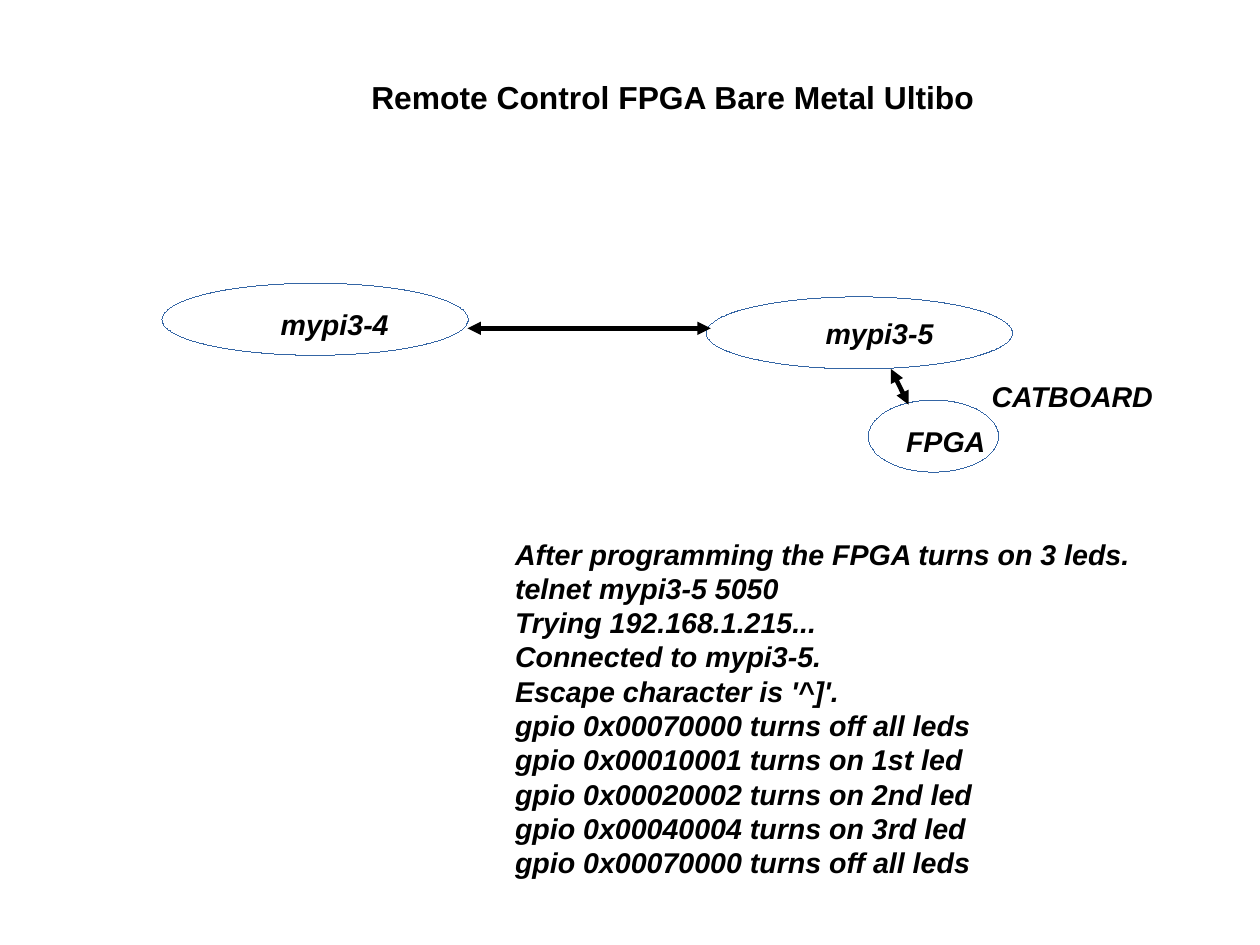
"""Builds the slide on remote control of an FPGA with bare metal Ultibo."""
from dataclasses import dataclass

from lxml import etree
from pptx import Presentation
from pptx.dml.color import RGBColor
from pptx.enum.shapes import MSO_CONNECTOR, MSO_SHAPE
from pptx.enum.text import MSO_AUTO_SIZE
from pptx.oxml.ns import qn
from pptx.slide import Slide
from pptx.util import Pt

ELLIPSE = MSO_SHAPE.OVAL
STRAIGHT = MSO_CONNECTOR.STRAIGHT
GROW_SHAPE = MSO_AUTO_SIZE.SHAPE_TO_FIT_TEXT

NODE_HEIGHT = 45.4
LABEL_HEIGHT = 27.4

NODES = [
    (102, 178.4, 193),
    (444.8, 187, 193),
    (547, 252, 82.1),
]
ARROWS = [
    (561.3, 232.4, 572.4, 254.9),
    (294.5, 206.8, 447.8, 206.8),
]
LABELS = [
    ("mypi3-5", 513, 195.4, 83.4),
    ("FPGA", 563.7, 263.3, 65.4),
    ("mypi3-4", 169.8, 189.7, 83.4),
    ("CATBOARD", 617.6, 235, 116.6),
]
SESSION = [
    "After programming the FPGA turns on 3 leds.",
    "telnet mypi3-5 5050",
    "Trying 192.168.1.215...",
    "Connected to mypi3-5.",
    "Escape character is '^]'.",
    "gpio 0x00070000 turns off all leds",
    "gpio 0x00010001 turns on 1st led",
    "gpio 0x00020002 turns on 2nd led",
    "gpio 0x00040004 turns on 3rd led",
    "gpio 0x00070000 turns off all leds",
]


def color(value):
    return RGBColor.from_string(value)


@dataclass
class Diagram:
    slide: Slide
    font: str = "Arial"
    ink: str = "000000"
    outline: str = "3465A4"
    arrow_width: float = 2.83

    def node(self, left, top, width):
        shape = self.slide.shapes.add_shape(
            ELLIPSE, Pt(left), Pt(top), Pt(width), Pt(NODE_HEIGHT))
        shape.shadow.inherit = False
        shape.fill.background()
        shape.line.color.rgb = color(self.outline)
        shape.element.spPr.find(qn("a:ln")).set("w", "0")

    def arrow(self, *ends):
        connector = self.slide.shapes.add_connector(STRAIGHT, *map(Pt, ends))
        connector.line.color.rgb = color(self.ink)
        connector.line.width = Pt(self.arrow_width)
        properties = connector.element.spPr
        for end in ("a:headEnd", "a:tailEnd"):
            etree.SubElement(properties.find(qn("a:ln")), qn(end), type="triangle")
        etree.SubElement(properties, qn("a:effectLst"))

    def text(self, lines, left, top, width, height=LABEL_HEIGHT,
             size=18, italic=True, wrap=False):
        box = self.slide.shapes.add_textbox(Pt(left), Pt(top), Pt(width), Pt(height))
        frame = box.text_frame
        frame.word_wrap = wrap
        frame.auto_size = GROW_SHAPE
        for index, line in enumerate(lines):
            paragraph = frame.add_paragraph() if index else frame.paragraphs[0]
            run = paragraph.add_run()
            run.text = line
            run.font.name = self.font
            run.font.size = Pt(size)
            run.font.bold = True
            run.font.italic = italic
            run.font.color.rgb = color(self.ink)


def main():
    presentation = Presentation()
    presentation.slide_width = Pt(793.75)
    presentation.slide_height = Pt(595.25)
    diagram = Diagram(presentation.slides.add_slide(presentation.slide_layouts[6]))
    for node in NODES:
        diagram.node(*node)
    for arrow in ARROWS:
        diagram.arrow(*arrow)
    for label, left, top, width in LABELS:
        diagram.text([label], left, top, width)
    diagram.text(["Remote Control FPGA Bare Metal Ultibo"], 226.8, 45.4, 402.5, 29.5,
                 size=20, italic=False, wrap=True)
    diagram.text(SESSION, 317.4, 334.4, 402, 208.8)
    presentation.save("out.pptx")


if __name__ == "__main__":
    main()
